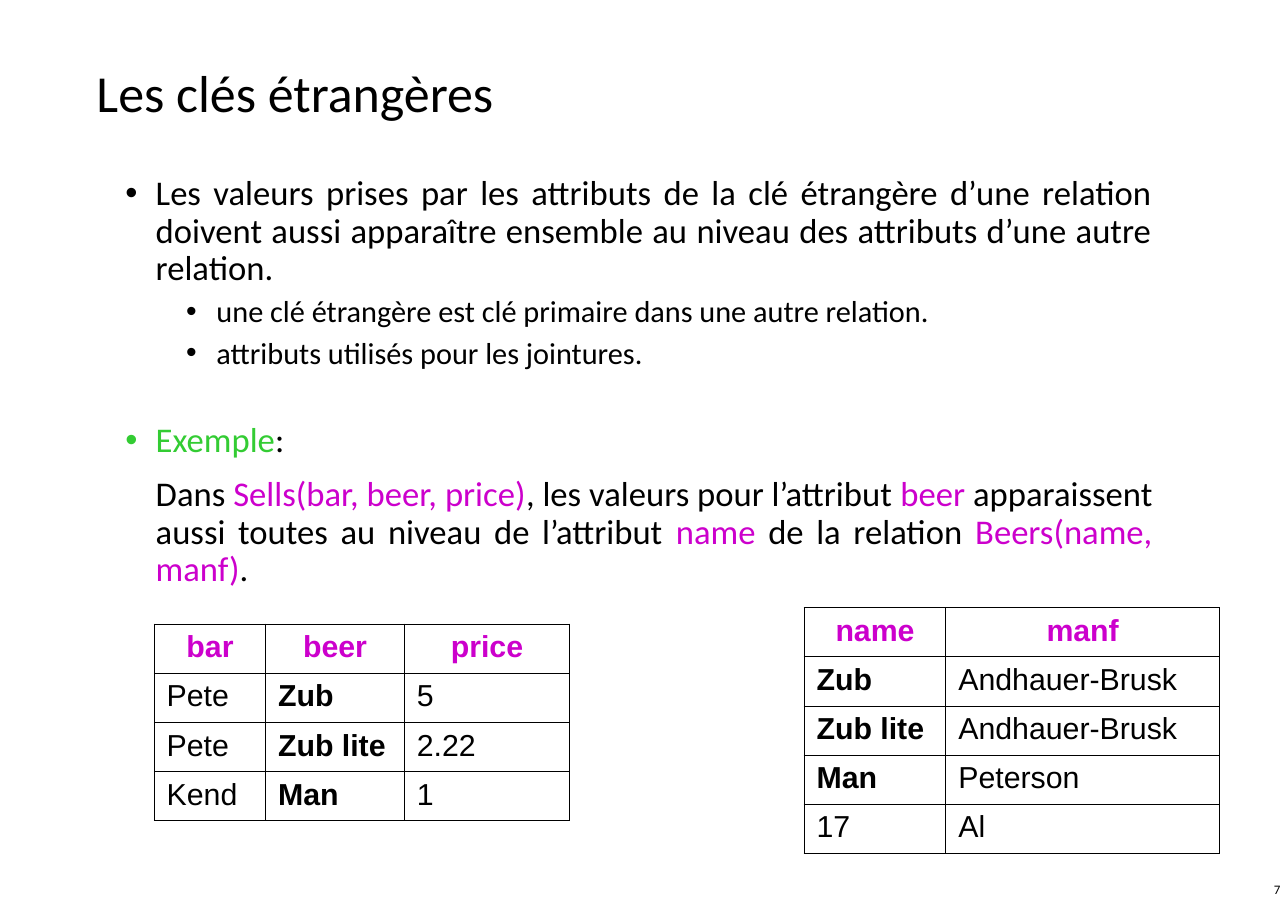
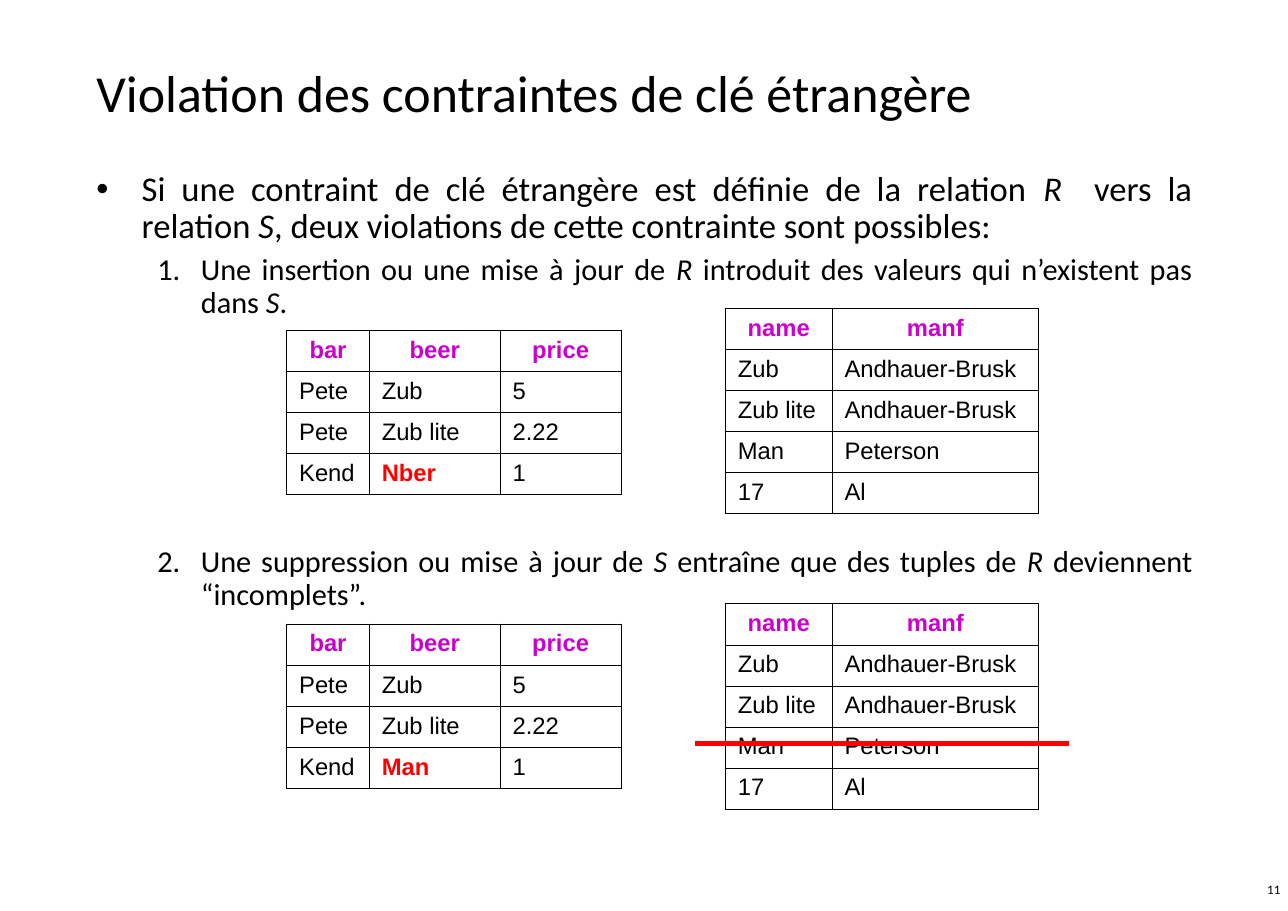
from dataclasses import dataclass
from typing import NamedTuple

from lxml import etree
from pptx import Presentation
from pptx import util as u
from pptx.dml.color import RGBColor
from pptx.enum import shapes, text
from pptx.oxml.ns import qn

INK, PAPER, PINK, GREEN, RED = "000000", "FFFFFF", "CC00CC", "33CC33", "FF0000"
BODY, GRID = "Calibri", "Arial"
LEFT, MID, RIGHT, FULL = (
    text.PP_ALIGN.LEFT,
    text.PP_ALIGN.CENTER,
    text.PP_ALIGN.RIGHT,
    text.PP_ALIGN.JUSTIFY,
)


class Bit(NamedTuple):
    txt: str
    color: str = INK
    bold: bool = False
    ital: bool = False


@dataclass
class Item:
    bits: list[Bit]
    size: int
    left: float
    hang: float
    gap: float
    level: int = 0
    mark: str = ""
    start: int = 1


@dataclass
class Grid:
    x: float
    y: float
    cols: list[float]
    high: float
    size: int
    rows: list[list[Bit]]


def rgb(code: str) -> RGBColor:
    return RGBColor.from_string(code)


def add(root, tag: str, **attrs: str):
    return etree.SubElement(root, qn(tag), attrs)


def write(para, bits: list[Bit], *, size: int, font: str = BODY, align=LEFT,
          line: float = 1.0, gap: float = 0) -> None:
    para.alignment = align
    para.line_spacing = line
    para.space_before = u.Pt(gap)
    for bit in bits:
        run = para.add_run()
        run.text = bit.txt
        face = run.font
        face.name, face.size = font, u.Pt(size)
        face.bold, face.italic = bit.bold, bit.ital
        face.color.rgb = rgb(bit.color)


def box(slide, x: float, y: float, w: float, h: float, anchor=text.MSO_ANCHOR.MIDDLE):
    frame = slide.shapes.add_textbox(*map(u.Inches, (x, y, w, h))).text_frame
    frame.word_wrap = True
    frame.vertical_anchor = anchor
    return frame


def begin(deck, title: str, num: int):
    slide = deck.slides.add_slide(deck.slide_layouts[6])
    head = box(slide, 1.14, 0.62, 14.26, 1.22)
    write(head.paragraphs[0], [Bit(title)], size=48, line=0.9)
    foot = box(slide, 12.81, 11.1, 3.72, 0.62)
    write(foot.paragraphs[0], [Bit(str(num))], size=12, align=RIGHT)
    return slide


def indent(para, item: Item) -> None:
    para.level = item.level
    props = para._p.get_or_add_pPr()
    props.set("marL", str(u.Inches(item.left)))
    props.set("indent", str(u.Inches(-item.hang)))
    if item.mark == "•":
        add(props, "a:buFont", typeface="Arial")
        add(props, "a:buChar", char=item.mark)
    elif item.mark:
        add(props, "a:buFont", typeface=BODY)
        add(props, "a:buAutoNum", type="arabicPeriod", startAt=str(item.start))


def fill(slide, x: float, y: float, w: float, h: float, items: list[Item]) -> None:
    frame = box(slide, x, y, w, h, text.MSO_ANCHOR.TOP)
    for i, item in enumerate(items):
        para = frame.add_paragraph() if i else frame.paragraphs[0]
        write(para, item.bits, size=item.size, align=FULL, line=0.9, gap=item.gap)
        indent(para, item)


def edge(cell) -> None:
    props = cell._tc.get_or_add_tcPr()
    for i, side in enumerate(("a:lnL", "a:lnR", "a:lnT", "a:lnB")):
        line = etree.Element(qn(side), {"w": str(u.Pt(1))})
        add(add(line, "a:solidFill"), "a:srgbClr", val=INK)
        props.insert(i, line)


def draw(slide, grid: Grid) -> None:
    count = len(grid.rows)
    table = slide.shapes.add_table(
        count, len(grid.cols), u.Inches(grid.x), u.Inches(grid.y),
        u.Inches(sum(grid.cols)), u.Inches(grid.high * count)).table
    table.first_row = table.horz_banding = False
    for col, wide in zip(table.columns, grid.cols):
        col.width = u.Inches(wide)
    for r, row in enumerate(grid.rows):
        table.rows[r].height = u.Inches(grid.high)
        for c, bit in enumerate(row):
            cell = table.cell(r, c)
            cell.margin_left = cell.margin_right = u.Inches(0.16)
            cell.margin_top = cell.margin_bottom = u.Inches(0.08)
            cell.fill.solid()
            cell.fill.fore_color.rgb = rgb(PAPER)
            edge(cell)
            write(cell.text_frame.paragraphs[0], [bit], size=grid.size,
                  font=GRID, align=LEFT if r else MID)


def strike(slide, x: float, y: float, w: float) -> None:
    line = slide.shapes.add_connector(
        shapes.MSO_CONNECTOR.STRAIGHT, *map(u.Inches, (x, y, x + w, y)))
    line.line.color.rgb = rgb(RED)
    line.line.width = u.Pt(4.5)
    add(line._element.spPr, "a:effectLst")


def rows(heads: str, data: list[str], strong: tuple[str, ...] = (),
         alert: str = "") -> list[list[Bit]]:
    top = [Bit(name, PINK, True) for name in heads.split("|")]
    rest = [[Bit(word, RED if word == alert else INK, word == alert or word in strong)
             for word in line.split("|")] for line in data]
    return [top] + rest


def sells(last: str, strong: tuple[str, ...] = (), alert: str = "") -> list[list[Bit]]:
    data = ["Pete|Zub|5", "Pete|Zub lite|2.22", f"Kend|{last}|1"]
    return rows("bar|beer|price", data, strong, alert)


def beers(strong: tuple[str, ...] = ()) -> list[list[Bit]]:
    data = ["Zub|Andhauer-Brusk", "Zub lite|Andhauer-Brusk", "Man|Peterson", "17|Al"]
    return rows("name|manf", data, strong)


def ital(txt: str) -> Bit:
    return Bit(txt, ital=True)


def keys(deck) -> None:
    slide = begin(deck, "Les clés étrangères", 7)
    subs = ["une clé étrangère est clé primaire dans une autre relation.",
            "attributs utilisés pour les jointures."]
    fill(slide, 1.51, 2.21, 13.38, 7.93, [
        Item([Bit("Les valeurs prises par les attributs de la clé étrangère d’une "
                  "relation doivent aussi apparaître ensemble au niveau des attributs "
                  "d’une autre relation.")], 32, 0.39, 0.39, 15.6, mark="•"),
        *[Item([Bit(sub)], 28, 1.17, 0.39, 7.8, 1, "•") for sub in subs],
        Item([Bit("Exemple", GREEN), Bit(":")], 32, 0.39, 0.39, 48, mark="•"),
        Item([Bit("Dans "), Bit("Sells(bar, beer, price)", PINK),
              Bit(", les valeurs pour l’attribut "), Bit("beer ", PINK),
              Bit("apparaissent aussi toutes au niveau de l’attribut "),
              Bit("name ", PINK), Bit("de la relation "),
              Bit("Beers(name, manf)", PINK), Bit(".")], 32, 0.39, 0, 15.6),
    ])
    strong = ("Zub", "Zub lite", "Man")
    draw(slide, Grid(10.32, 7.8, [1.82, 3.51], 0.63, 28, beers(strong)))
    draw(slide, Grid(1.98, 8.01, [1.43, 1.78, 2.12], 0.63, 28, sells("Man", strong)))


def breach(deck) -> None:
    slide = begin(deck, "Violation des contraintes de clé étrangère", 11)
    fill(slide, 1.14, 2.15, 14.26, 8.38, [
        Item([Bit("Si une contraint de clé étrangère est définie de la relation "),
              ital("R"), Bit("  vers la relation "), ital("S"),
              Bit(", deux violations de cette contrainte sont possibles:")],
             32, 0.58, 0.58, 15.6, mark="•"),
        Item([Bit("Une insertion ou une mise à jour de "), ital("R"),
              Bit(" introduit des valeurs qui n’existent pas dans "), ital("S"),
              Bit(".")], 28, 1.34, 0.56, 7.8, 1, "1."),
        Item([Bit("Une suppression ou mise à jour de "), ital("S"),
              Bit(" entraîne que des tuples de "), ital("R"),
              Bit(" deviennent “incomplets”.")], 28, 1.34, 0.56, 209, 1, "1.", 2),
    ])
    for last, low, high in (("Nber", 4.24, 3.96), ("Man", 8.01, 7.75)):
        draw(slide, Grid(3.68, low, [1.06, 1.68, 1.55], 0.52, 22,
                         sells(last, alert=last)))
        draw(slide, Grid(9.31, high, [1.37, 2.65], 0.52, 22, beers()))
    strike(slide, 8.92, 9.54, 4.8)


def main() -> None:
    deck = Presentation()
    deck.slide_width, deck.slide_height = u.Inches(16.53), u.Inches(11.69)
    keys(deck)
    breach(deck)
    deck.save("out.pptx")


if __name__ == "__main__":
    main()
